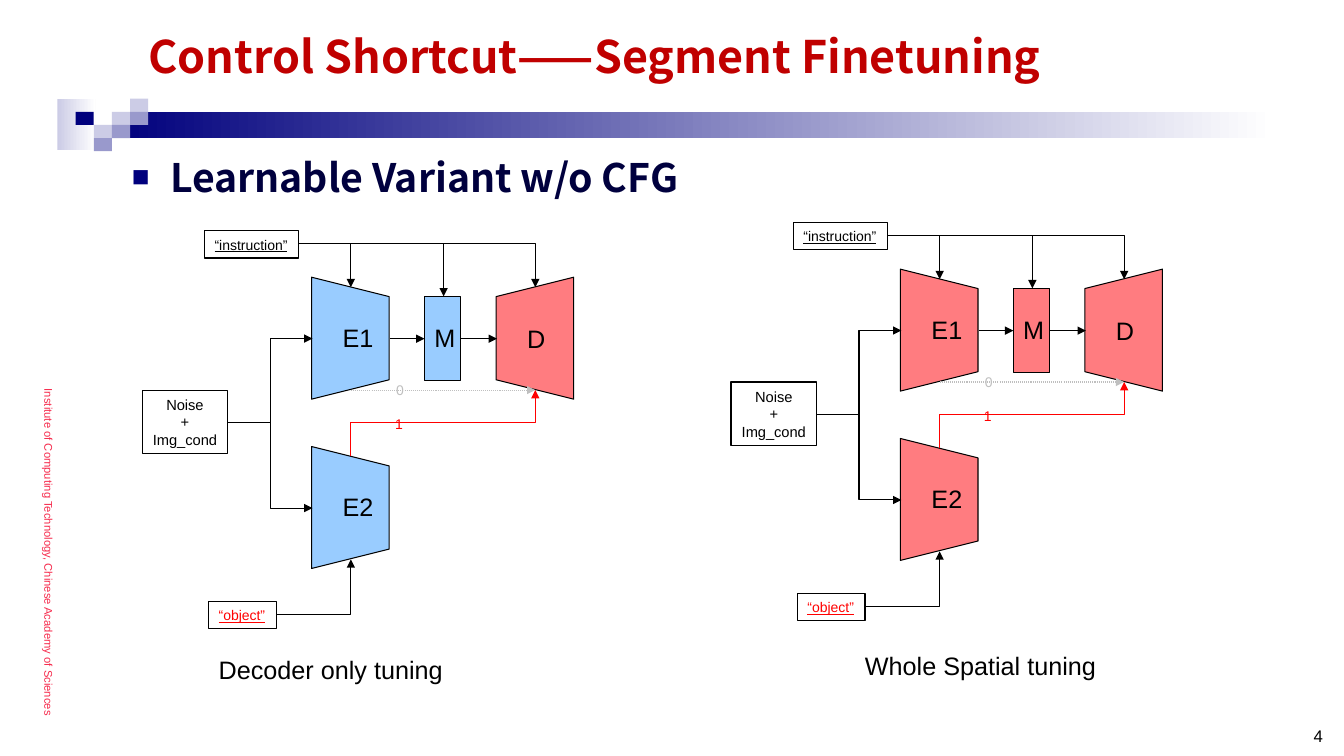
from lxml import etree
from pptx import Presentation
from pptx.dml.color import RGBColor
from pptx.enum.dml import MSO_LINE
from pptx.enum.shapes import MSO_CONNECTOR as CONN, MSO_SHAPE as SHAPE
from pptx.enum.text import MSO_ANCHOR, MSO_AUTO_SIZE, PP_ALIGN
from pptx.oxml.ns import qn
from pptx.util import Pt

PX = 9144  # 100 px to the inch
BLACK, RED, GREY, NAVY = "000000", "FF0000", "BFBFBF", "00007D"
BLUE_FILL, RED_FILL = "99CCFF", "FF7C80"
SANS, CJK = "Arial", "Noto Sans CJK SC"


def rgb(color):
    return RGBColor.from_string(color)


def box(x, y, w, h, text="", size=18, color=BLACK, font=SANS, kind=None,
        fill=None, line=None, wrap=False):
    """Add a text box, or a preset shape if kind is given; lengths in px."""
    area = [v * PX for v in (x, y, w, h)]
    if kind is None:
        sp = s.shapes.add_textbox(*area)
    else:
        sp = s.shapes.add_shape(kind, *area)
        sp.shadow.inherit = False
        if fill:
            sp.fill.solid()
            sp.fill.fore_color.rgb = rgb(fill)
        else:
            sp.fill.background()
        if line:
            sp.line.color.rgb = rgb(line)
            sp.line.width = Pt(0.75)
        else:
            sp.line.fill.background()
    if text:
        tf = sp.text_frame
        tf.text = text
        tf.word_wrap = wrap
        tf.auto_size = MSO_AUTO_SIZE.NONE if wrap else MSO_AUTO_SIZE.SHAPE_TO_FIT_TEXT
        for p in tf.paragraphs:
            p.alignment = PP_ALIGN.LEFT
            p.font.size = Pt(size)
            p.font.name = font
            p.font.color.rgb = rgb(color)
    return sp


def arrow(kind, x1, y1, x2, y2, color=BLACK):
    c = s.shapes.add_connector(kind, *[v * PX for v in (x1, y1, x2, y2)])
    c.line.color.rgb = rgb(color)
    c.line.width = Pt(0.75)
    etree.SubElement(c.line._get_or_add_ln(), qn("a:tailEnd"), type="triangle")
    etree.SubElement(c._element.spPr, qn("a:effectLst"))
    return c


prs = Presentation()
prs.slide_width, prs.slide_height = 1333 * PX, 750 * PX
s = prs.slides.add_slide(prs.slide_layouts[6])

# Header band and its squares
for x, y, w, h, start in [(57, 98, 38, 51, "CCCCE6"), (111, 111, 1153, 26, NAVY)]:
    sp = box(x, y, w, h, kind=SHAPE.RECTANGLE, fill="FFFFFF")
    sp.fill.gradient()
    sp.fill.gradient_angle = 0
    for stop, color in zip(sp.fill.gradient_stops, (start, "FFFFFF")):
        stop.color.rgb = rgb(color)
for x, y, color in [(111, 111, "CCCCE6"), (129, 98, "CCCCE6"), (129, 111, "9999CC"),
                    (93, 124, "CCCCE6"), (75, 111, NAVY), (111, 124, "9999CC"),
                    (93, 137, "9999CC")]:
    box(x, y, 18, 13, kind=SHAPE.RECTANGLE, fill=color)

# Side text, page number, title and heading
side = box(27, 376, 33, 376, "Institute of Computing Technology, Chinese Academy of Sciences",
           8, "F62A4C", wrap=True)
side.text_frame._txBody.bodyPr.set("vert", "eaVert")

number = box(1011, 716, 311, 29, "4", 12, wrap=True).text_frame
number.vertical_anchor = MSO_ANCHOR.BOTTOM
number.paragraphs[0].alignment = PP_ALIGN.RIGHT

title = box(137, 19, 1146, 72, "Control Shortcut——Segment Finetuning", 32, "C00000", CJK,
            wrap=True).text_frame
title.vertical_anchor = MSO_ANCHOR.MIDDLE

heading = box(121, 147, 1146, 60, "Learnable Variant w/o CFG", 28, "00003E", CJK,
              wrap=True).text_frame
pPr = heading.paragraphs[0]._p.get_or_add_pPr()
pPr.set("marL", str(38 * PX))
pPr.set("indent", str(-38 * PX))
bullet_color = etree.Element(qn("a:buClr"))
etree.SubElement(bullet_color, qn("a:srgbClr"), val=NAVY)
bullet = [bullet_color,
          etree.Element(qn("a:buSzPct"), val="75000"),
          etree.Element(qn("a:buFont"), typeface=SANS),
          etree.Element(qn("a:buChar"), char="■")]
for i, el in enumerate(bullet):
    pPr.insert(i, el)
for tf in (title, heading):
    p = tf.paragraphs[0]
    p.font.bold = True
    etree.SubElement(p._p.pPr.find(qn("a:defRPr")), qn("a:ea"), typeface=CJK)

# The two network diagrams: offset and colour of the encoder parts
for dx, dy, fill in [(0, 0, BLUE_FILL), (584, -8, RED_FILL)]:
    box(382 + dx, 407 + dy, 28, 27, "1", 10, RED)

    for x, y, angle, color in [(470, 297, 270, RED_FILL), (287, 297, 90, fill),
                               (287, 465, 90, fill)]:
        sp = box(x + dx, y + dy, 121, 77, kind=SHAPE.TRAPEZOID, fill=color, line=BLACK)
        sp.rotation = angle
    middle = box(421 + dx, 294 + dy, 36, 84, kind=SHAPE.RECTANGLE, fill=fill, line=BLACK)

    skip = arrow(CONN.STRAIGHT, 348 + dx, 387 + dy, 531 + dx, 387 + dy, GREY)
    skip.line.dash_style = MSO_LINE.ROUND_DOT
    shortcut = arrow(CONN.ELBOW, 472 + dx, 511 + dy, 407 + dx, 328 + dy, RED)
    shortcut._element.spPr.xfrm.set("rot", "5400000")

    noise = box(141 + dx, 387 + dy, 85, 63, "Noise\n+\nImg_cond", 10.5,
                kind=SHAPE.RECTANGLE, line=BLACK)
    for p in noise.text_frame.paragraphs:
        p.alignment = PP_ALIGN.CENTER
    for y in (504, 336):
        arrow(CONN.ELBOW, 226 + dx, 419 + dy, 310 + dx, y + dy)

    for x, y, w, text, color in [(203, 229, 93, "“instruction”", BLACK),
                                 (207, 597, 67, "“object”", RED)]:
        prompt = box(x + dx, y + dy, w, 27, text, 10, color, kind=SHAPE.RECTANGLE, line=BLACK)
        prompt.text_frame.paragraphs[0].font.underline = True
    for x1, y1, x2, y2 in [(297, 242, 531, 285), (297, 242, 348, 285),
                           (297, 242, 440, 294), (274, 610, 348, 555)]:
        c = arrow(CONN.ELBOW, x1 + dx, y1 + dy, x2 + dx, y2 + dy)
        c._element.spPr.find(qn("a:prstGeom")).set("prst", "bentConnector2")

    for x, y, w, text in [(330, 315, 51, "E1"), (330, 483, 51, "E2"),
                          (513, 316, 38, "D"), (421, 315, 41, "M")]:
        box(x + dx, y + dy, w, 40, text)
    box(383 + dx, 374 + dy, 28, 27, "0", 10, GREY)

    arrow(CONN.STRAIGHT, 387 + dx, 336 + dy, 421 + dx, 336 + dy).end_connect(middle, 1)
    arrow(CONN.STRAIGHT, 457 + dx, 336 + dy, 493 + dx, 336 + dy).begin_connect(middle, 3)

box(207, 644, 245, 40, "Decoder only tuning")
box(848, 640, 252, 40, "Whole Spatial tuning")

prs.save("out.pptx")
